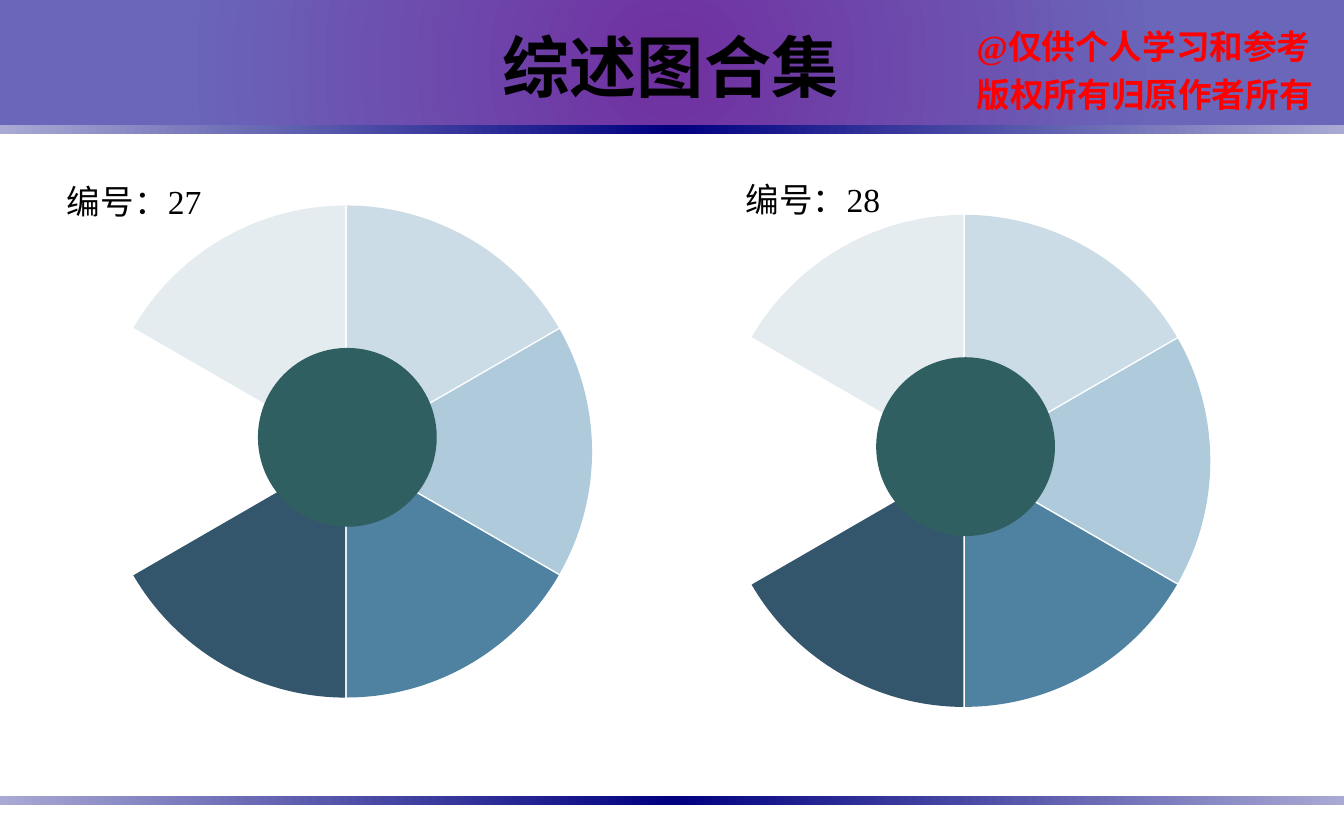
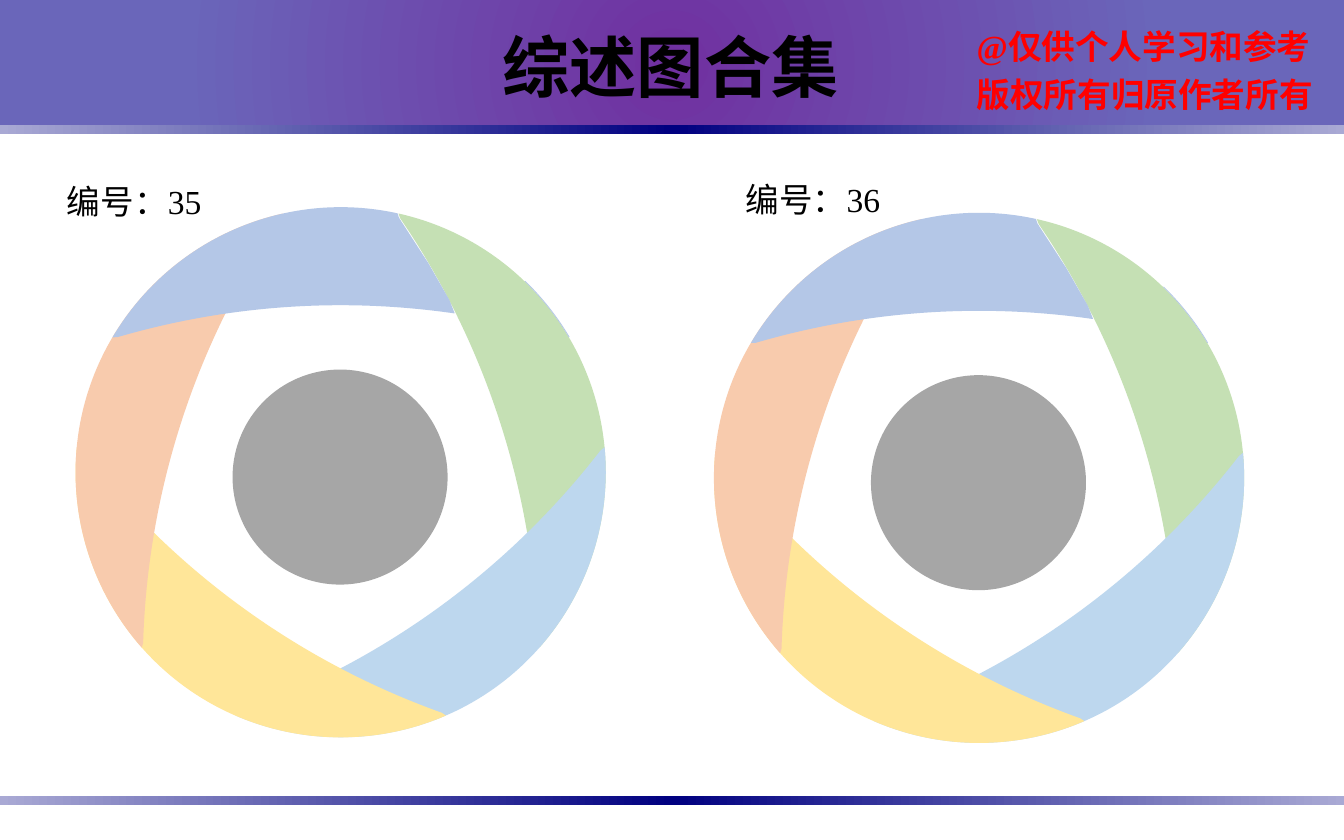
"""Build two slides of numbered radial diagrams under a shared header."""
import math
from dataclasses import dataclass

import pptx
import pptx.dml.color
import pptx.enum.shapes
import pptx.enum.text
import pptx.oxml
import pptx.oxml.ns
import pptx.util

Pt = pptx.util.Pt
qn = pptx.oxml.ns.qn
RGB = pptx.dml.color.RGBColor.from_string
SHAPE = pptx.enum.shapes.MSO_SHAPE
CENTER = pptx.enum.text.PP_ALIGN.CENTER


@dataclass(frozen=True)
class Theme:
    """Colours, type styles and gradients of the deck."""
    title = {"name": "Arial", "size": Pt(36), "bold": True, "color": "000000"}
    notice = {"name": "Times New Roman", "size": Pt(18), "bold": True, "color": "FF0000"}
    label = {"name": "Times New Roman", "size": Pt(18), "color": "000000"}
    header = ((0, "7030A0"), (73, "6A66BA"))
    rule = ((0, "A9A9D4"), (50, "000080"), (100, "A9A9D4"))
    wedges = ("E4ECEF", "CBDCE6", "AFCADB", "4F82A1", "33566C", "FFFFFF")
    wheel_disc = "2F5F61"
    blades = ("C5E0B4", "BDD7EE", "FFE699", "F8CBAD", "B4C7E7")
    ring_disc = "A6A6A6"


@dataclass(frozen=True)
class Box:
    """A rectangle in points."""
    x: float
    y: float
    w: float
    h: float

    @property
    def center(self):
        """Return the middle of the box."""
        return self.x + self.w / 2, self.y + self.h / 2

    def emu(self):
        """Return the four lengths for python-pptx."""
        return [Pt(v) for v in (self.x, self.y, self.w, self.h)]


THEME = Theme()
PAGE = Box(0, 0, 720, 450)
LABELS = (Box(28.8, 93.6, 87.1, 28.8), Box(392.4, 92.2, 87.1, 28.8))
RADIAL = '<a:path path="circle"><a:fillToRect l="50000" t="50000" r="50000" b="50000"/></a:path>'
LINEAR = '<a:lin ang="0" scaled="1"/>'
UNITS = 100


def finish(sp, color=None):
    """Remove outline and shadow, and fill with a colour if given."""
    sp.shadow.inherit = False
    sp.line.fill.background()
    if color:
        sp.fill.solid()
        sp.fill.fore_color.rgb = RGB(color)
    return sp


def gradient_band(s, box, stops, direction):
    """Draw a rectangle with a gradient fill."""
    sp = finish(s.shapes.add_shape(SHAPE.RECTANGLE, *box.emu()))
    gs = "".join(f'<a:gs pos="{pos * 1000}"><a:srgbClr val="{color}"/></a:gs>'
                 for pos, color in stops)
    fill = pptx.oxml.parse_xml(
        f'<a:gradFill {pptx.oxml.ns.nsdecls("a")} rotWithShape="1">'
        f'<a:gsLst>{gs}</a:gsLst>{direction}</a:gradFill>')
    sp._element.spPr.find(qn("a:prstGeom")).addnext(fill)


def text(s, box, paragraphs, font, **formats):
    """Write paragraphs of (text, alignment) in an unwrapped box."""
    tf = s.shapes.add_textbox(*box.emu()).text_frame
    tf.word_wrap = False
    tf.auto_size = pptx.enum.text.MSO_AUTO_SIZE.SHAPE_TO_FIT_TEXT
    for i, (words, alignment) in enumerate(paragraphs):
        p = tf.add_paragraph() if i else tf.paragraphs[0]
        for name, value in {"alignment": alignment, **formats}.items():
            setattr(p, name, value)
        r = p.add_run()
        r.text = words
        for name, value in font.items():
            if name == "color":
                r.font.color.rgb = RGB(value)
            else:
                setattr(r.font, name, value)


def arc(center, radius, *angles):
    """Return the nodes of an arc through angles clockwise from the top."""
    nodes = []
    for i, angle in enumerate(angles):
        a = math.radians(angle)
        bend = (radius, angles[i - 1], angle - angles[i - 1]) if i else None
        nodes.append((center[0] + radius * math.sin(a),
                      center[1] - radius * math.cos(a), bend))
    return nodes


def arc_xml(radius, start, sweep):
    """Return the path element of an arc."""
    size = round(radius * UNITS)
    return pptx.oxml.parse_xml(
        f'<a:arcTo {pptx.oxml.ns.nsdecls("a")} wR="{size}" hR="{size}" '
        f'stAng="{round((start - 90) % 360 * 60000)}" swAng="{round(sweep * 60000)}"/>')


def outline(shapes, contours, color):
    """Draw closed contours of lines and arcs as one filled freeform."""
    builder = None
    for contour in contours:
        first, *others = [(x * UNITS, y * UNITS) for x, y, _ in contour]
        if builder:
            builder.move_to(*first)
        else:
            builder = shapes.build_freeform(*first, scale=Pt(1) / UNITS)
        builder.add_line_segments(others)
    sp = finish(builder.convert_to_shape(), color)
    steps = list(sp._element.iter(qn("a:moveTo"), qn("a:lnTo")))
    for step, (_, _, bend) in zip(steps, sum(contours, [])):
        if bend:
            step.getparent().replace(step, arc_xml(*bend))
    return sp


def turn(sp, hub, degrees):
    """Rotate a shape about a hub."""
    a = math.radians(degrees)
    dx = sp.left + sp.width / 2 - Pt(hub[0])
    dy = sp.top + sp.height / 2 - Pt(hub[1])
    sp.left = round(Pt(hub[0]) + dx * math.cos(a) - dy * math.sin(a) - sp.width / 2)
    sp.top = round(Pt(hub[1]) + dx * math.sin(a) + dy * math.cos(a) - sp.height / 2)
    sp.rotation = degrees


def disc(shapes, center, diameter, color):
    """Draw a filled circle about a centre."""
    box = Box(center[0] - diameter / 2, center[1] - diameter / 2, diameter, diameter)
    finish(shapes.add_shape(SHAPE.OVAL, *box.emu()), color)


def wheel(s, box):
    """Draw a wheel of six wedges with a disc over its hub."""
    shapes = s.shapes.add_group_shape().shapes
    hub, outer, inner, gap = box.center, box.w / 2, 16.6, 0.45
    sweep = 360 / len(THEME.wedges)
    for i, color in enumerate(THEME.wedges):
        wedge = []
        for radius, way in ((outer, 1), (inner, -1)):
            inset = math.degrees(math.asin(gap / radius))
            angles = (i * sweep + inset, (i + 0.5) * sweep, (i + 1) * sweep - inset)
            wedge += arc(hub, radius, *angles[::way])
        turn(outline(shapes, [wedge], color), hub, 360 - sweep)
    disc(shapes, (hub[0] + 0.7, hub[1] - 7.6), 95.8, THEME.wheel_disc)


def ring(s, box):
    """Draw a ring of overlapping blades about a disc."""
    shapes = s.shapes.add_group_shape().shapes
    hub, radius = box.center, box.w / 2
    low = (hub[0], hub[1] + 2.37 * radius)
    tip, low_tip = 59.4, 16.3
    blade = [arc(hub, radius, -tip, 0, tip) + arc(low, 3 * radius, low_tip, 0, -low_tip)]
    cut = [(hub[0] + x * radius, box.y + y * radius, None)
           for x, y in ((0.22, 0.04), (0.33, 0.21), (0.41, 0.35), (0.43, 0.4))]
    tucked = [arc(hub, radius, -tip, 0, 12.4) + cut + arc(low, 3 * radius, 8.2, 0, -low_tip),
              arc(hub, radius * 1.003, 44, tip) + arc(hub, radius, tip, 44)]
    count = len(THEME.blades)
    for i, color in enumerate(THEME.blades, 1):
        sp = outline(shapes, tucked if i == count else blade, color)
        turn(sp, hub, i % count * 360 / count)
    disc(shapes, (hub[0] - 0.3, hub[1] + 2.6), 115.2, THEME.ring_disc)


def frame(s, box):
    """Draw the header, the notice, the title and both rules."""
    gradient_band(s, Box(box.x, box.y - 0.7, box.w, 71.3), THEME.header, RADIAL)
    text(s, Box(box.x + 516.2, box.y + 5.8, 198.7, 56.9),
         [("@仅供个人学习和参考", None), ("版权所有归原作者所有", CENTER)],
         THEME.notice, line_spacing=1.2)
    for y in (67, 426.2):
        gradient_band(s, Box(box.x, box.y + y, box.w, 5), THEME.rule, LINEAR)
    text(s, Box(box.x + 262.1, box.y + 10.1, 196.6, 51.1), [("综述图合集", None)], THEME.title)


def diagram_slide(prs, draw, boxes, numbers):
    """Add a slide with two numbered diagrams."""
    s = prs.slides.add_slide(prs.slide_layouts[6])
    frame(s, PAGE)
    for box in boxes:
        draw(s, box)
    for box, number in zip(LABELS, numbers):
        text(s, box, [(f"编号：{number}", None)], THEME.label)


def main():
    """Build and save the deck."""
    prs = pptx.Presentation()
    prs.slide_width, prs.slide_height = Pt(PAGE.w), Pt(PAGE.h)
    diagram_slide(prs, wheel, (Box(53.6, 110.1, 263.6, 263.6),
                               Box(384.8, 115.1, 263.6, 263.6)), (27, 28))
    diagram_slide(prs, ring, (Box(40.5, 111, 284, 284),
                              Box(382.5, 114, 284, 284)), (35, 36))
    prs.save("out.pptx")


if __name__ == "__main__":
    main()
